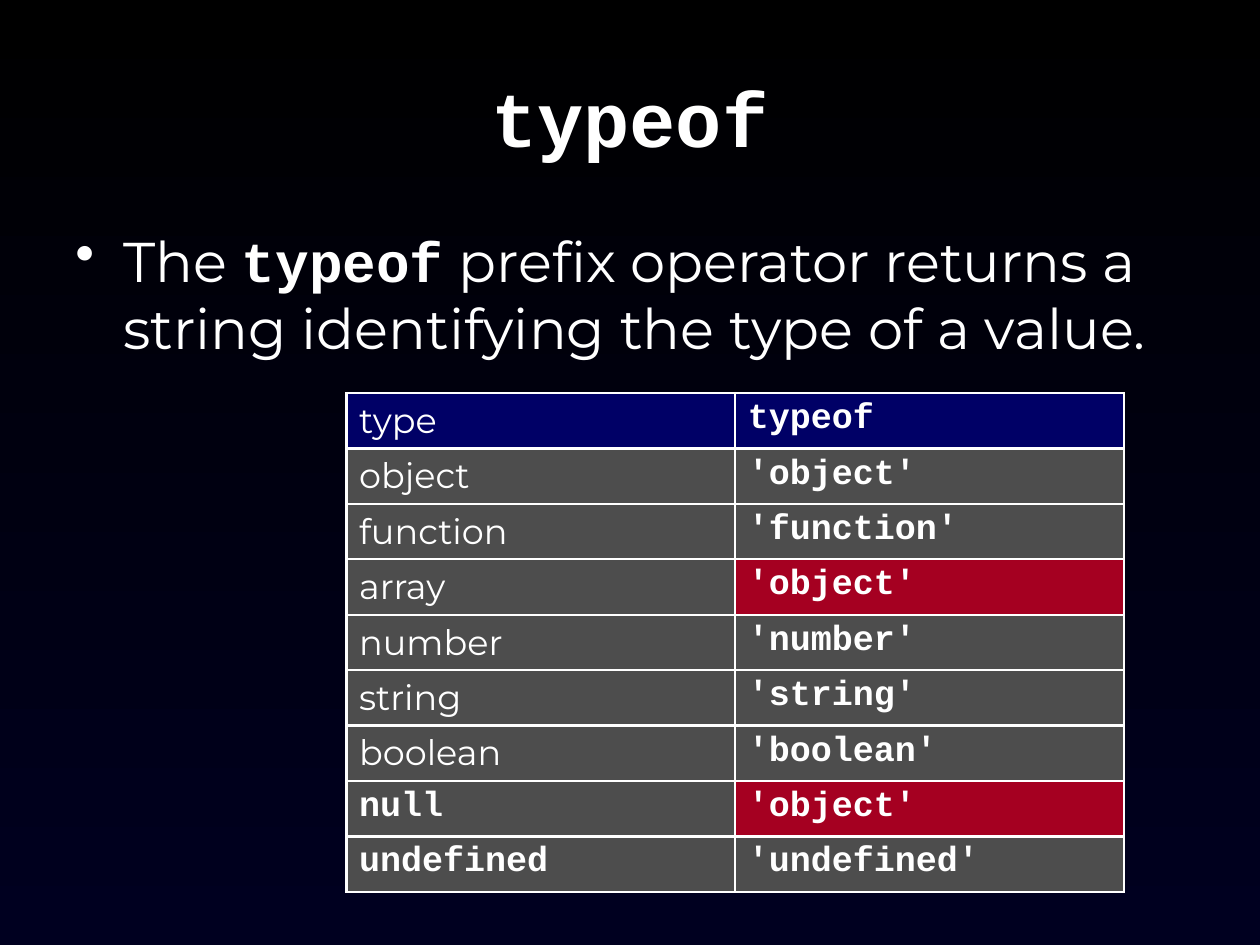
from dataclasses import dataclass

from lxml.etree import SubElement
from pptx import Presentation
from pptx.dml.color import RGBColor
from pptx.enum.text import MSO_ANCHOR, PP_ALIGN
from pptx.oxml.ns import qn
from pptx.util import Inches, Pt

WHITE, NAVY, GRAY, RED = "FFFFFF", "000066", "4D4D4D", "A50021"
PROSE, CODE = "Montserrat", "Courier New"


@dataclass
class TypeRow:
    kind: str
    result: str
    kind_font: str = PROSE
    kind_fill: str = GRAY
    result_fill: str = GRAY


ROWS = [
    TypeRow("type", "typeof", kind_fill=NAVY, result_fill=NAVY),
    TypeRow("object", "'object'"),
    TypeRow("function", "'function'"),
    TypeRow("array", "'object'", result_fill=RED),
    TypeRow("number", "'number'"),
    TypeRow("string", "'string'"),
    TypeRow("boolean", "'boolean'"),
    TypeRow("null", "'object'", kind_font=CODE, result_fill=RED),
    TypeRow("undefined", "'undefined'", kind_font=CODE),
]


def color(value: str) -> RGBColor:
    return RGBColor.from_string(value)


def style(font, name: str, size: float) -> None:
    font.name = name
    font.size = Pt(size)
    font.bold = name == CODE
    font.color.rgb = color(WHITE)


def add_text_frame(slide, left: float, top: float, width: float, height: float):
    box = slide.shapes.add_textbox(Inches(left), Inches(top), Inches(width), Inches(height))
    box.text_frame.word_wrap = True
    return box.text_frame


def paint_background(slide) -> None:
    fill = slide.background.fill
    fill.gradient()
    fill.gradient_angle = 270
    for stop, value, position in zip(fill.gradient_stops, ("000000", "000020"), (0, 1)):
        stop.color.rgb = color(value)
        stop.position = position


def add_title(slide) -> None:
    frame = add_text_frame(slide, 0.5, 0.3, 9, 1.25)
    frame.vertical_anchor = MSO_ANCHOR.MIDDLE
    heading = frame.paragraphs[0]
    heading.text = "typeof"
    heading.alignment = PP_ALIGN.CENTER
    style(heading.font, CODE, 44)


def add_statement(slide) -> None:
    statement = add_text_frame(slide, 0.5, 1.75, 9, 5.58).paragraphs[0]
    properties = statement._p.get_or_add_pPr()
    properties.set("marL", str(Inches(0.38)))
    properties.set("indent", str(-Inches(0.38)))
    bullet_color = SubElement(properties, qn("a:buClr"))
    SubElement(bullet_color, qn("a:srgbClr"), val=WHITE)
    SubElement(properties, qn("a:buChar"), char="•")
    for text, name in (
        ("The ", PROSE),
        ("typeof", CODE),
        (" prefix operator returns a string identifying the type of a value.", PROSE),
    ):
        run = statement.add_run()
        run.text = text
        style(run.font, name, 32)


def fill_cell(cell, text: str, name: str, fill: str) -> None:
    properties = cell._tc.get_or_add_tcPr()
    for side in ("lnL", "lnR", "lnT", "lnB"):
        border = SubElement(properties, qn(f"a:{side}"), w=str(Pt(1.47)))
        solid = SubElement(border, qn("a:solidFill"))
        SubElement(solid, qn("a:srgbClr"), val=WHITE)
    cell.fill.solid()
    cell.fill.fore_color.rgb = color(fill)
    label = cell.text_frame.paragraphs[0]
    label.text = text
    style(label.font, name, 20)


def add_type_table(slide) -> None:
    row_height = Inches(0.44)
    table = slide.shapes.add_table(
        len(ROWS), 2, Inches(2.75), Inches(3.12), Inches(6.17), row_height * len(ROWS)
    ).table
    table.first_row = table.horz_banding = False
    for index, row in enumerate(ROWS):
        fill_cell(table.cell(index, 0), row.kind, row.kind_font, row.kind_fill)
        fill_cell(table.cell(index, 1), row.result, CODE, row.result_fill)


def main() -> None:
    """Build the slide on the typeof operator and its results."""
    presentation = Presentation()
    presentation.slide_width, presentation.slide_height = Inches(10), Inches(7.5)
    slide = presentation.slides.add_slide(presentation.slide_layouts[6])
    paint_background(slide)
    add_title(slide)
    add_statement(slide)
    add_type_table(slide)
    presentation.save("out.pptx")


if __name__ == "__main__":
    main()
